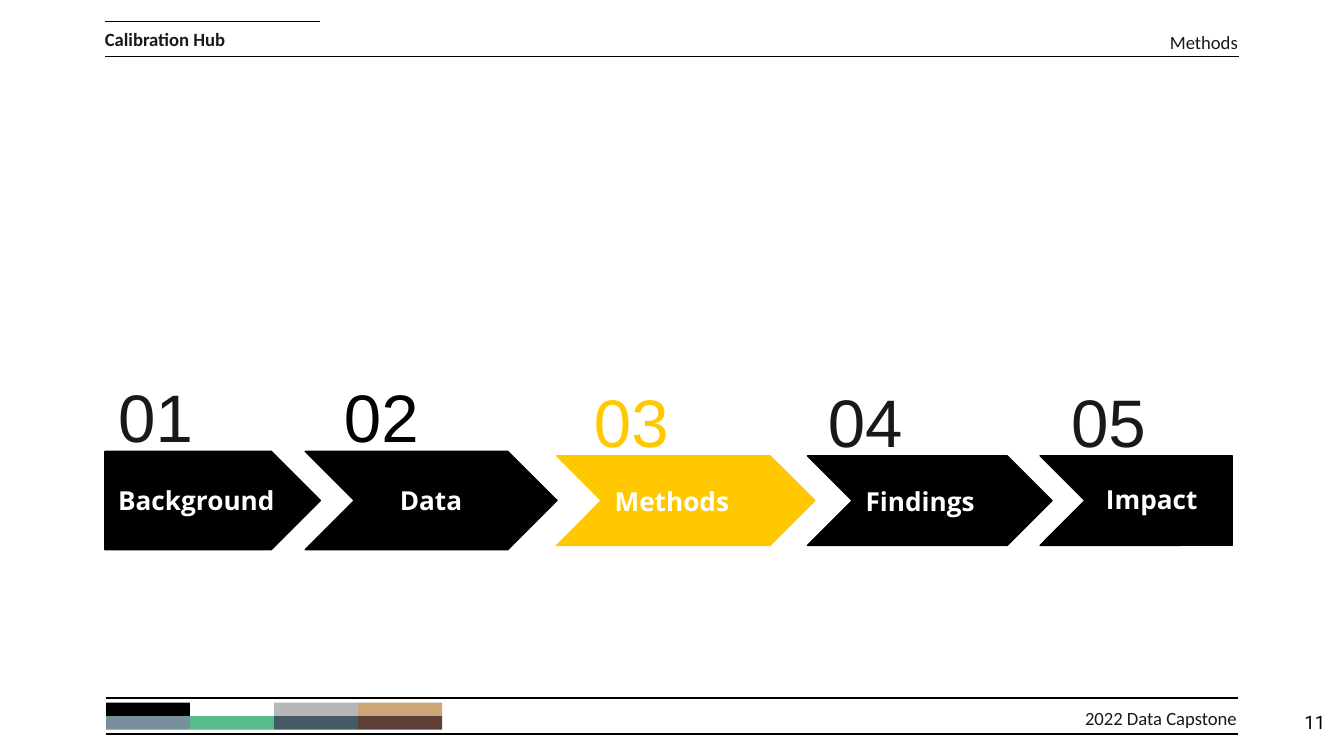
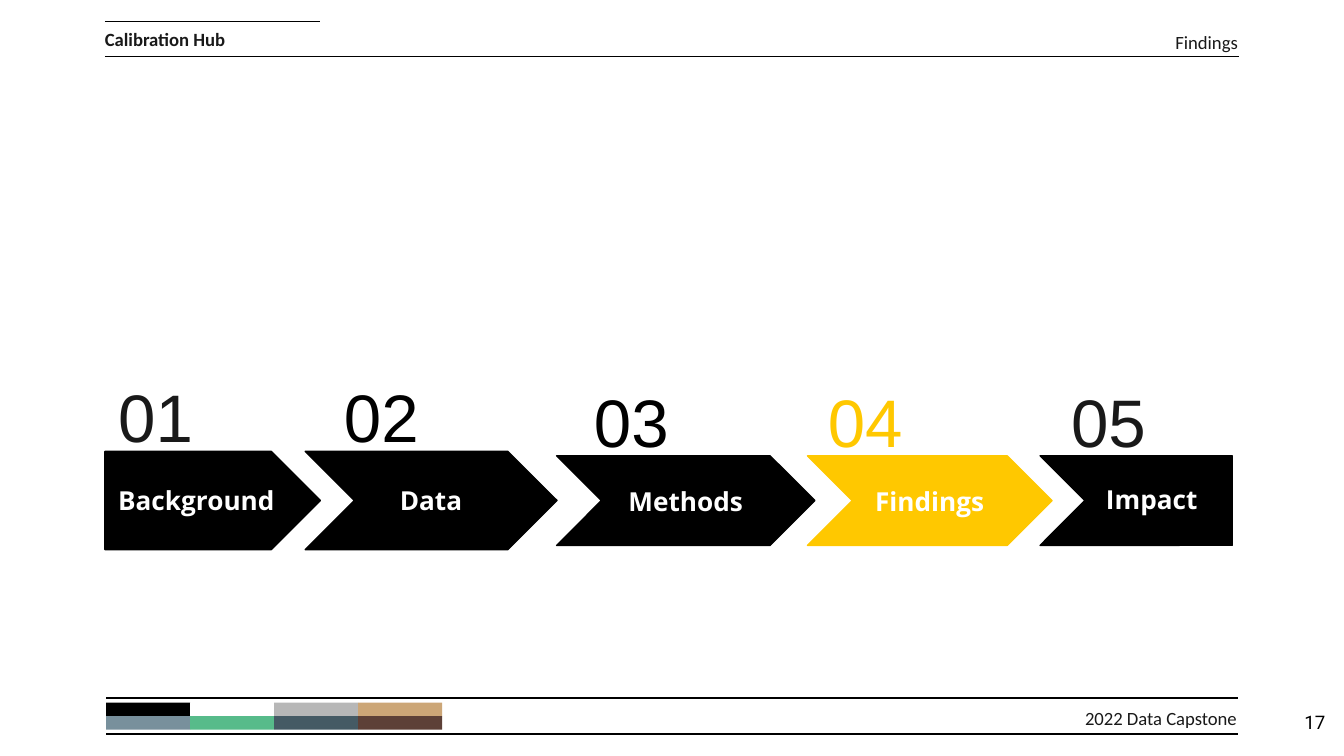
from collections import namedtuple

from lxml.etree import SubElement
from pptx import Presentation
from pptx.dml.color import RGBColor
from pptx.enum.shapes import MSO_CONNECTOR, MSO_SHAPE as Preset
from pptx.enum.text import MSO_ANCHOR as Anchor, MSO_AUTO_SIZE, PP_ALIGN as Align
from pptx.oxml.ns import qn
from pptx.util import Pt

BLACK = RGBColor(0x00, 0x00, 0x00)
WHITE = RGBColor(0xFF, 0xFF, 0xFF)
INK = RGBColor(0x19, 0x19, 0x19)
YELLOW = RGBColor(0xFF, 0xC8, 0x00)
SWATCHES = [
    [BLACK, WHITE, RGBColor(0xB7, 0xB7, 0xB7), RGBColor(0xCC, 0xA6, 0x77)],
    [RGBColor(0x78, 0x90, 0x9C), RGBColor(0x57, 0xBB, 0x8A),
     RGBColor(0x45, 0x5A, 0x64), RGBColor(0x5D, 0x40, 0x37)],
]

SMALL = {"name": "Calibri", "size": Pt(10), "bold": False}
BRAND = {**SMALL, "bold": True}
PAGE_NUMBER = {"name": "Roboto", "size": Pt(10)}
BIG_NUMBER = {"name": "Arial", "size": Pt(36)}
STEP_LABEL = {"name": "Open Sans", "size": Pt(14), "bold": True}
INSET = 7.2

Box = namedtuple("Box", "left top width height")
Step = namedtuple("Step", "label preset box number_left number_width ink align")

HEADER = Box(56.2, 11.5, 607.6, 18.8)
FOOTER = Box(56.9, 373.9, 606.2, 19.3)
TIMELINE = Box(56.2, 203.8, 604, 90.7)
NUMBER_HEIGHT = 38

# Step boxes are relative to the timeline; an align of None follows the slide.
STEPS = [
    Step("Background", Preset.PENTAGON, Box(0, 38, 115.4, 52.7), 0, 56.2, INK, Align.LEFT),
    Step("Data", Preset.CHEVRON, Box(107.3, 38, 134.9, 52.7), 121, 56.2, BLACK, Align.CENTER),
    Step("Methods", Preset.CHEVRON, Box(242, 40.4, 138.4, 48), 254.9, 62.6, BLACK, None),
    Step("Findings", Preset.CHEVRON, Box(376.4, 40.4, 131, 48), 380.2, 56.2, INK, None),
    Step("Impact", Preset.CHEVRON, Box(501, 40.4, 98.6, 48), 510.5, 56.2, INK, Align.LEFT),
]


def points(box):
    return [Pt(value) for value in box]


def inside(area, left, top, width, height):
    """Turn a position within an area into a position on the slide."""
    return Box(area.left + left, area.top + top, width, height)


def write(shape, text, style, color, align=Align.LEFT, anchor=Anchor.MIDDLE, inset=0):
    frame = shape.text_frame
    layout = {"word_wrap": True, "auto_size": MSO_AUTO_SIZE.NONE, "vertical_anchor": anchor}
    for side in ("left", "right", "top", "bottom"):
        layout[f"margin_{side}"] = Pt(inset)
    for key, value in layout.items():
        setattr(frame, key, value)
    para = frame.paragraphs[0]
    para.alignment = align
    span = para.add_run()
    span.text = text
    for key, value in style.items():
        setattr(span.font, key, value)
    span.font.color.rgb = color


def add_text(page, box, *args, **options):
    write(page.shapes.add_textbox(*points(box)), *args, **options)


def add_block(page, preset, box, fill, outlined=False):
    block = page.shapes.add_shape(preset, *points(box))
    block.shadow.inherit = False
    block.fill.solid()
    block.fill.fore_color.rgb = fill
    if outlined:
        block.line.color.rgb = fill
        block.line.width = Pt(0.75)
    else:
        block.line.fill.background()
    return block


def add_rule(page, left, top, width):
    rule = page.shapes.add_connector(
        MSO_CONNECTOR.STRAIGHT, Pt(left), Pt(top), Pt(left + width), Pt(top))
    rule.line.color.rgb = BLACK
    rule.line.width = Pt(0.75)
    SubElement(rule._element.spPr, qn("a:effectLst"))


def add_header(page, area, section):
    add_rule(page, area.left, area.top + area.height, area.width)
    add_rule(page, area.left, area.top, 115.2)
    add_text(page, inside(area, 0, 5.8, 188.6, 7.2), "Calibration Hub", BRAND, INK)
    title = page.shapes.title
    place = inside(area, area.width - 159.1, 7.2, 158.4, 7.2)
    for key, value in zip(Box._fields, points(place)):
        setattr(title, key, value)
    write(title, section, SMALL, INK, Align.RIGHT)


def add_footer(page, area, number):
    for top in (area.top, area.top + area.height):
        add_rule(page, area.left, top, area.width)
    for row, colors in enumerate(SWATCHES):
        for column, color in enumerate(colors):
            cell = inside(area, column * 45, 2.6 + row * 7.2, 45, 7.2)
            add_block(page, Preset.RECTANGLE, cell, color)
    add_text(page, inside(area, area.width - 159, 7.1, 158.4, 7.2),
             "2022 Data Capstone", SMALL, INK, Align.RIGHT)
    add_text(page, inside(area, area.width + 10.8, 0, 43.2, 31), str(number),
             PAGE_NUMBER, BLACK, Align.RIGHT, Anchor.TOP, INSET)


def add_step(page, area, index, step, active, open_align):
    fill = YELLOW if active else BLACK
    number_box = inside(area, step.number_left, step.box.top - NUMBER_HEIGHT,
                        step.number_width, NUMBER_HEIGHT)
    if step.label == "Data":
        number = add_block(page, Preset.RECTANGLE, number_box, WHITE)
    else:
        number = page.shapes.add_textbox(*points(number_box))
    write(number, f"{index:02}", BIG_NUMBER, YELLOW if active else step.ink, inset=INSET)

    box = inside(area, *step.box)
    last = step is STEPS[-1]
    if last:
        square_end = inside(box, box.width - 24.4, 0, 28.8, box.height)
        add_block(page, Preset.FLOWCHART_PROCESS, square_end, fill, outlined=True)
    arrow = add_block(page, step.preset, box, fill, outlined=True)
    if last:
        add_text(page, inside(box, 28.2, 7.8, 77.8, 31.7), step.label,
                 STEP_LABEL, WHITE, anchor=Anchor.TOP, inset=INSET)
    else:
        align = open_align if step.align is None else step.align
        write(arrow, step.label, STEP_LABEL, WHITE, align, inset=INSET)


def add_section_slide(deck, section, number, open_align, ink_changes):
    page = deck.slides.add_slide(deck.slide_layouts[5])
    add_header(page, HEADER, section)
    add_footer(page, FOOTER, number)
    for index, step in enumerate(STEPS, 1):
        step_ink = ink_changes.get(step.label, step.ink)
        shown = step if step_ink == step.ink else step._replace(ink=step_ink)
        add_step(page, TIMELINE, index, shown, step.label == section, open_align)


def main():
    deck = Presentation()
    deck.slide_width, deck.slide_height = Pt(720), Pt(405)
    add_section_slide(deck, "Methods", 11, Align.LEFT, {})
    add_section_slide(deck, "Findings", 17, Align.CENTER, {})
    deck.save("out.pptx")


if __name__ == "__main__":
    main()
